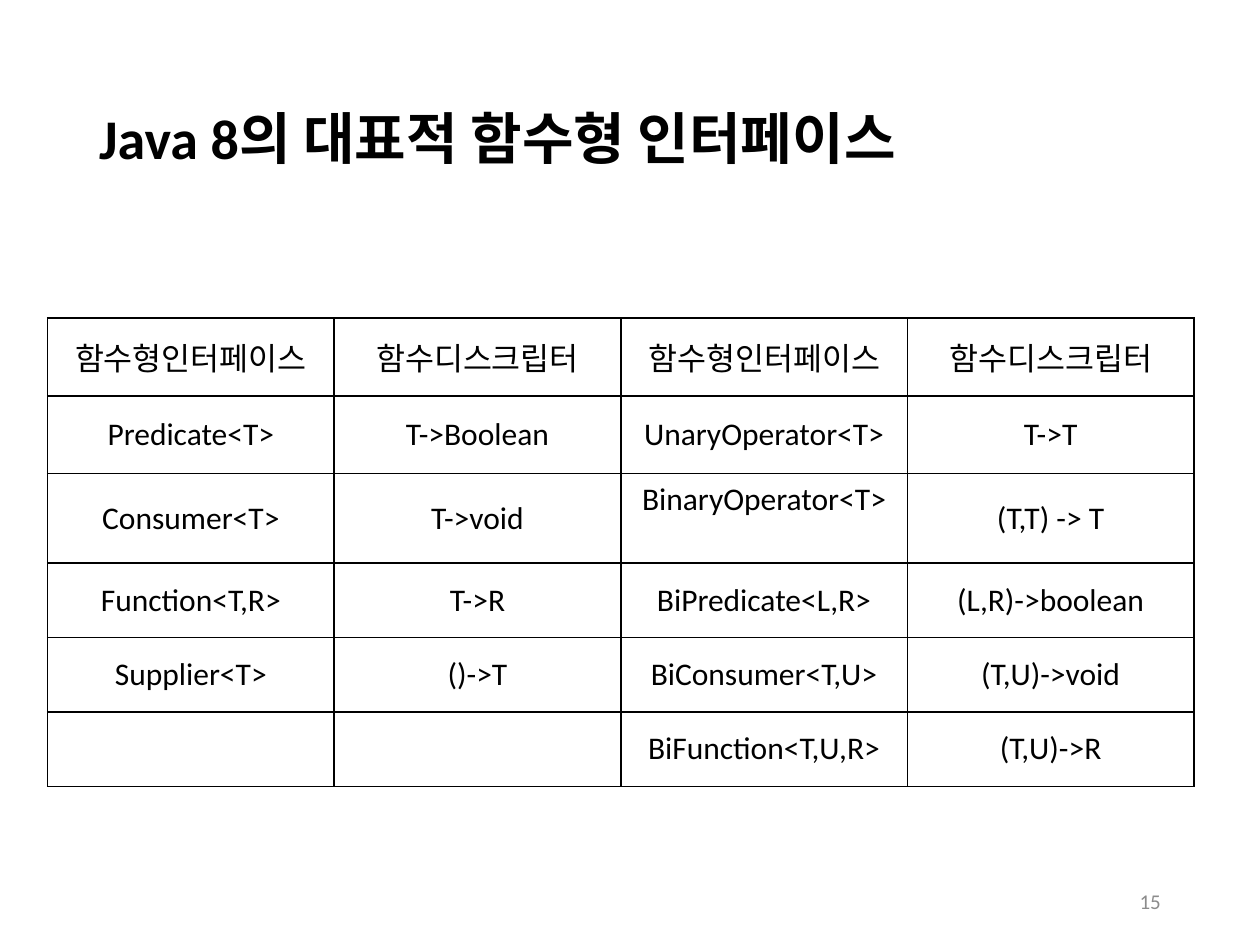
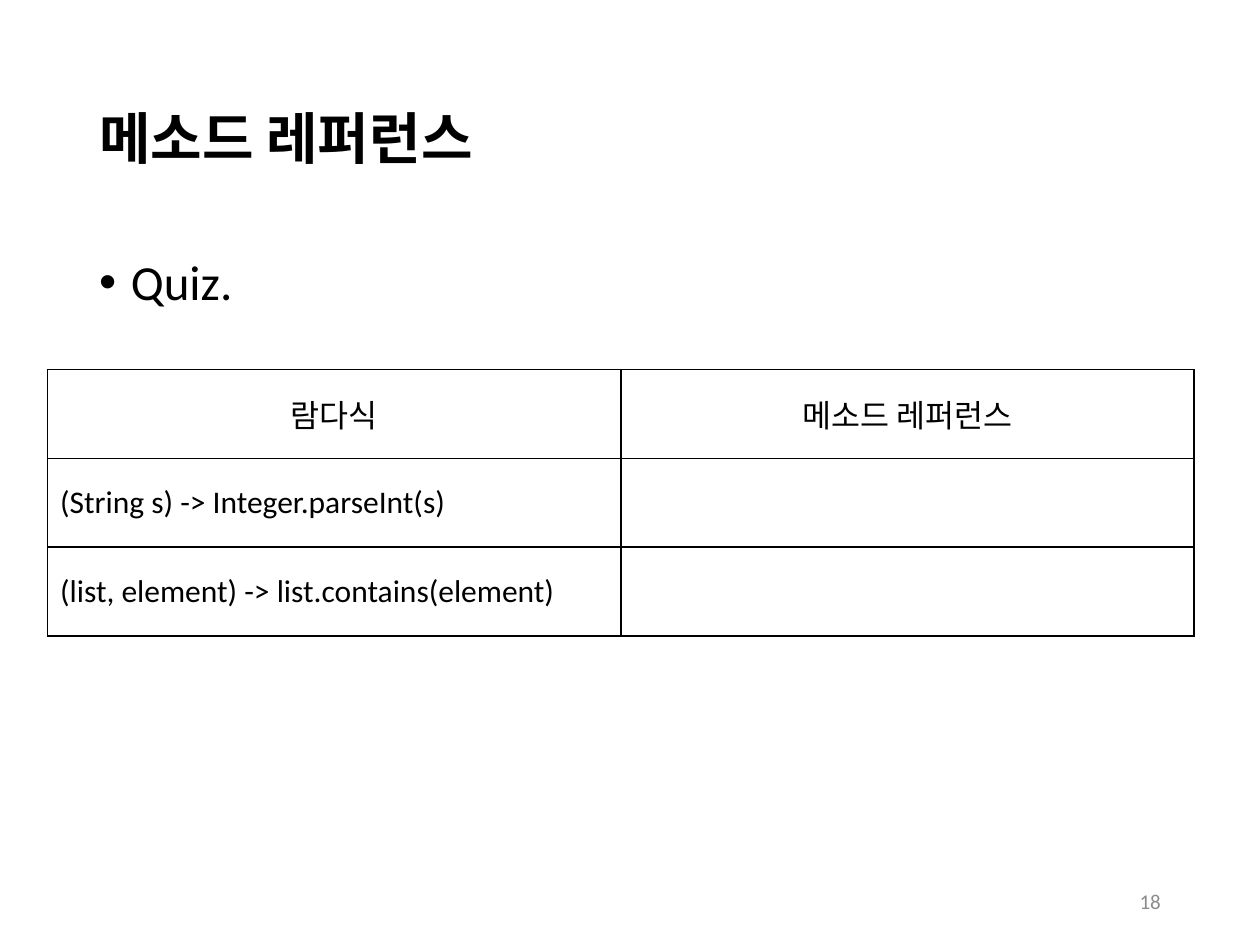
from lxml import etree
from pptx import Presentation
from pptx.dml.color import RGBColor
from pptx.enum.text import MSO_ANCHOR, PP_ALIGN
from pptx.oxml.ns import qn
from pptx.util import Cm, Pt

BLACK = RGBColor(0x00, 0x00, 0x00)
GREY = RGBColor(0x8C, 0x8C, 0x8C)
FONT = "Calibri"
TEXT_LEFT, TEXT_WIDTH = 1.75, 21.9
TABLE_LEFT, TABLE_WIDTH = 0.96, 23.11

SLIDES = [
    {
        "title": "Java 8의 대표적 함수형 인터페이스",
        "page": "15",
        "table_top": 6.41,
        "row_heights": [1.57, 1.57, 1.8, 1.5, 1.5, 1.5],
        "rows": [
            ("함수형인터페이스", "함수디스크립터", "함수형인터페이스", "함수디스크립터"),
            ("Predicate<T>", "T->Boolean", "UnaryOperator<T>", "T->T"),
            ("Consumer<T>", "T->void", "BinaryOperator<T>", "(T,T) -> T"),
            ("Function<T,R>", "T->R", "BiPredicate<L,R>", "(L,R)->boolean"),
            ("Supplier<T>", "()->T", "BiConsumer<T,U>", "(T,U)->void"),
            ("", "", "BiFunction<T,U,R>", "(T,U)->R"),
        ],
        "body_align": PP_ALIGN.CENTER,
        "top_cells": {(2, 2)},
    },
    {
        "title": "메소드 레퍼런스",
        "page": "18",
        "bullet": "Quiz.",
        "table_top": 7.45,
        "row_heights": [1.79, 1.79, 1.79],
        "rows": [
            ("람다식", "메소드 레퍼런스"),
            ("(String s) -> Integer.parseInt(s)", ""),
            ("(list, element) -> list.contains(element)", ""),
        ],
        "body_align": PP_ALIGN.LEFT,
    },
]


def write(frame, text, size, color=BLACK, bold=False, align=PP_ALIGN.LEFT):
    """Put one styled paragraph in a text frame and return it."""
    paragraph = frame.paragraphs[0]
    paragraph.alignment = align
    paragraph.font.size = Pt(size)
    if text:
        run = paragraph.add_run()
        run.text = text
        run.font.name = FONT
        run.font.size = Pt(size)
        run.font.bold = bold
        run.font.color.rgb = color
    return paragraph


def add_text(slide, box, text, size, anchor=MSO_ANCHOR.MIDDLE, **style):
    """Add a wrapping text box, its place given in centimetres."""
    frame = slide.shapes.add_textbox(*map(Cm, box)).text_frame
    frame.word_wrap = True
    frame.vertical_anchor = anchor
    return write(frame, text, size, **style)


def add_bullet(slide, text):
    """Add the bulleted body line."""
    paragraph = add_text(slide, (TEXT_LEFT, 5.08, TEXT_WIDTH, 12.09), text, 28,
                         anchor=MSO_ANCHOR.TOP)
    paragraph.line_spacing = 0.9
    paragraph.space_before = Pt(10)
    props = paragraph._p.get_or_add_pPr()
    indent = Cm(0.64)
    props.set("marL", str(indent))
    props.set("indent", str(-indent))
    etree.SubElement(props, qn("a:buFont"), typeface="Arial")
    etree.SubElement(props, qn("a:buChar"), char="•")


def add_borders(cell):
    """Draw a thin black line on all four sides of a cell."""
    props = cell._tc.get_or_add_tcPr()
    for side in ("lnL", "lnR", "lnT", "lnB"):
        line = etree.SubElement(props, qn(f"a:{side}"), w=str(Pt(1)))
        fill = etree.SubElement(line, qn("a:solidFill"))
        etree.SubElement(fill, qn("a:srgbClr"), val=str(BLACK))


def add_grid(slide, spec):
    """Add the plain ruled table with equal columns and a centred header."""
    rows, heights = spec["rows"], spec["row_heights"]
    count = len(rows[0])
    table = slide.shapes.add_table(
        len(rows), count, Cm(TABLE_LEFT), Cm(spec["table_top"]),
        Cm(TABLE_WIDTH), Cm(sum(heights))).table
    table.first_row = table.horz_banding = False
    for column in table.columns:
        column.width = Cm(TABLE_WIDTH / count)
    for r, (texts, height) in enumerate(zip(rows, heights)):
        table.rows[r].height = Cm(height)
        for c, text in enumerate(texts):
            cell = table.cell(r, c)
            add_borders(cell)
            cell.fill.background()
            at_top = (r, c) in spec.get("top_cells", ())
            cell.vertical_anchor = MSO_ANCHOR.TOP if at_top else MSO_ANCHOR.MIDDLE
            align = spec["body_align"] if r else PP_ALIGN.CENTER
            write(cell.text_frame, text, 18, align=align)


def build_slide(prs, spec):
    """Add one slide: title, optional bullet, table and page number."""
    slide = prs.slides.add_slide(prs.slide_layouts[6])
    title = add_text(slide, (TEXT_LEFT, 1.02, TEXT_WIDTH, 3.68), spec["title"], 32, bold=True)
    title.line_spacing = 0.9
    if "bullet" in spec:
        add_bullet(slide, spec["bullet"])
    add_grid(slide, spec)
    add_text(slide, (17.93, 17.65, 5.72, 1.02), spec["page"], 12,
             color=GREY, align=PP_ALIGN.RIGHT)


prs = Presentation()
prs.slide_width, prs.slide_height = Cm(25.4), Cm(19.05)
for spec in SLIDES:
    build_slide(prs, spec)
prs.save("out.pptx")
